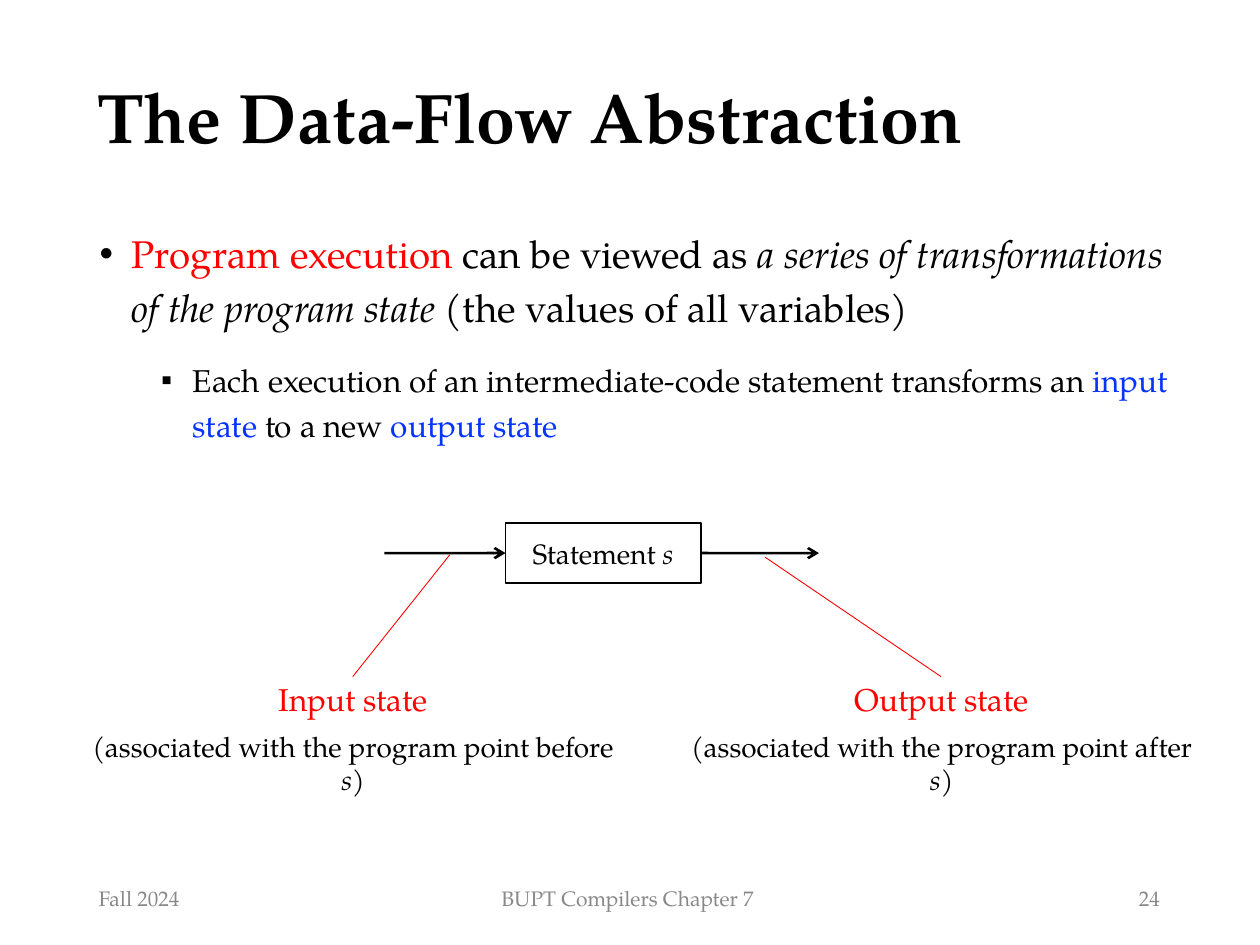
from lxml import etree
from pptx import Presentation
from pptx import util as u
from pptx.dml.color import RGBColor
from pptx.enum import shapes, text
from pptx.oxml.ns import qn

FONT = "TeX Gyre Pagella"
BLACK, RED, BLUE, GREY = "000000", "FF0000", "0432FF", "898989"


def color(value):
    return RGBColor.from_string(value)


def add_xml(parent, tag, **attributes):
    return etree.SubElement(parent, qn(tag), attributes)


def set_frame(shape, inset=0.03, side=0, wrap=True):
    frame = shape.text_frame
    values = dict(margin_left=u.Cm(side), margin_right=u.Cm(side),
                  margin_top=u.Cm(inset), margin_bottom=0, word_wrap=wrap,
                  auto_size=text.MSO_AUTO_SIZE.NONE,
                  vertical_anchor=text.MSO_ANCHOR.TOP)
    for name, value in values.items():
        setattr(frame, name, value)
    return frame


def add_spans(para, size, spans, **style):
    """Each span is (words, colour) or (words, colour, italic)."""
    for words, fill, *italic in spans:
        span = para.add_run()
        span.text = words
        values = dict(name=FONT, size=u.Pt(size), italic=bool(italic and italic[0]), **style)
        for name, value in values.items():
            setattr(span.font, name, value)
        span.font.color.rgb = color(fill)


def add_box(page, left, top, width, height, **frame_format):
    box = page.shapes.add_textbox(*map(u.Cm, (left, top, width, height)))
    return set_frame(box, **frame_format)


def set_bullet(para, char, left, hanging):
    props = para._p.get_or_add_pPr()
    props.set("marL", str(u.Cm(left)))
    props.set("indent", str(-u.Cm(hanging)))
    add_xml(add_xml(props, "a:buClr"), "a:srgbClr", val=BLACK)
    add_xml(props, "a:buFont", typeface="Arial")
    add_xml(props, "a:buChar", char=char)


def add_line(page, start, end, fill, width, arrow=False):
    line = page.shapes.add_connector(shapes.MSO_CONNECTOR.STRAIGHT,
                                     *map(u.Cm, (*start, *end)))
    line.line.color.rgb = color(fill)
    line.line.width = u.Pt(width)
    if arrow:
        add_xml(line.line._get_or_add_ln(), "a:tailEnd", type="arrow")
    add_xml(line._element.spPr, "a:effectLst")
    return line


def add_title(page):
    title = page.shapes.title
    for name, value in dict(left=1.96, top=1.45, width=17.55, height=1.75).items():
        setattr(title, name, u.Cm(value))
    para = set_frame(title, wrap=False).paragraphs[0]
    para.alignment = text.PP_ALIGN.LEFT
    add_spans(para, 40, [("The Data-Flow Abstraction", BLACK)], bold=True)


def add_body(page):
    frame = add_box(page, 1.96, 4.45, 21.72, 4.55)
    para = frame.paragraphs[0]
    set_bullet(para, "•", 0.69, 0.64)
    para.line_spacing = 1.17
    add_spans(para, 22, [
        ("Program execution ", RED), ("can be viewed as ", BLACK),
        ("a series of transformations of the program state ", BLACK, True),
        ("(the values of all variables)", BLACK)])

    para = frame.add_paragraph()
    para.level = 1
    set_bullet(para, "▪", 1.93, 0.64)
    para.line_spacing = 1.2
    para.space_before = u.Pt(13.3)
    add_spans(para, 18, [
        ("Each execution of an intermediate-code statement transforms an ", BLACK),
        ("input state ", BLUE), ("to a new ", BLACK), ("output state", BLUE)])


def add_statement(page):
    box = page.shapes.add_shape(shapes.MSO_SHAPE.RECTANGLE,
                                *map(u.Cm, (10.19, 10.54, 3.94, 1.22)))
    box.shadow.inherit = False
    box.fill.background()
    box.line.color.rgb = color(BLACK)
    box.line.width = u.Pt(1)
    frame = set_frame(box, inset=0)
    frame.vertical_anchor = text.MSO_ANCHOR.MIDDLE
    para = frame.paragraphs[0]
    para.alignment = text.PP_ALIGN.CENTER
    add_spans(para, 16, [("Statement ", BLACK), ("s", BLACK, True)])
    return box


def add_state(page, left, width, name, place):
    frame = add_box(page, left, 13.41, width, 2.01, inset=0.3, side=0.13)
    heading, note = frame.paragraphs[0], frame.add_paragraph()
    heading.alignment = note.alignment = text.PP_ALIGN.CENTER
    note.space_before = u.Pt(6.5)
    add_spans(heading, 18, [(name, RED)])
    add_spans(note, 16, [(f"(associated with the program point {place} ", BLACK),
                         ("s", BLACK, True), (")", BLACK)])


def add_footer(page, left, width, words):
    frame = add_box(page, left, 17.81, width, 0.6, inset=0.05, wrap=False)
    add_spans(frame.paragraphs[0], 12, [(words, GREY)])


def main():
    deck = Presentation()
    deck.slide_width, deck.slide_height = u.Cm(25.4), u.Cm(19.05)
    page = deck.slides.add_slide(deck.slide_layouts[5])
    add_title(page)
    add_body(page)

    # Statement with the flow into and out of it
    statement = add_statement(page)
    middle = 11.15
    flow_in = add_line(page, (7.75, middle), (10.19, middle), BLACK, 1.5, arrow=True)
    flow_in.end_connect(statement, 1)
    flow_out = add_line(page, (14.13, middle), (16.51, middle), BLACK, 1.5, arrow=True)
    flow_out.begin_connect(statement, 3)

    # States, each tied to its arrow by a leader line
    add_state(page, 1.57, 11.1, "Input state", "before")
    add_line(page, (9.07, 11.18), (7.11, 13.64), RED, 0.5)
    add_state(page, 13.64, 10.69, "Output state", "after")
    add_line(page, (15.42, 11.23), (18.97, 13.64), RED, 0.5)

    # Footer
    for left, width, words in ((1.99, 1.73, "Fall 2024"),
                               (10.11, 5.23, "BUPT Compilers Chapter 7"),
                               (22.96, 0.64, "24")):
        add_footer(page, left, width, words)
    deck.save("out.pptx")


if __name__ == "__main__":
    main()
